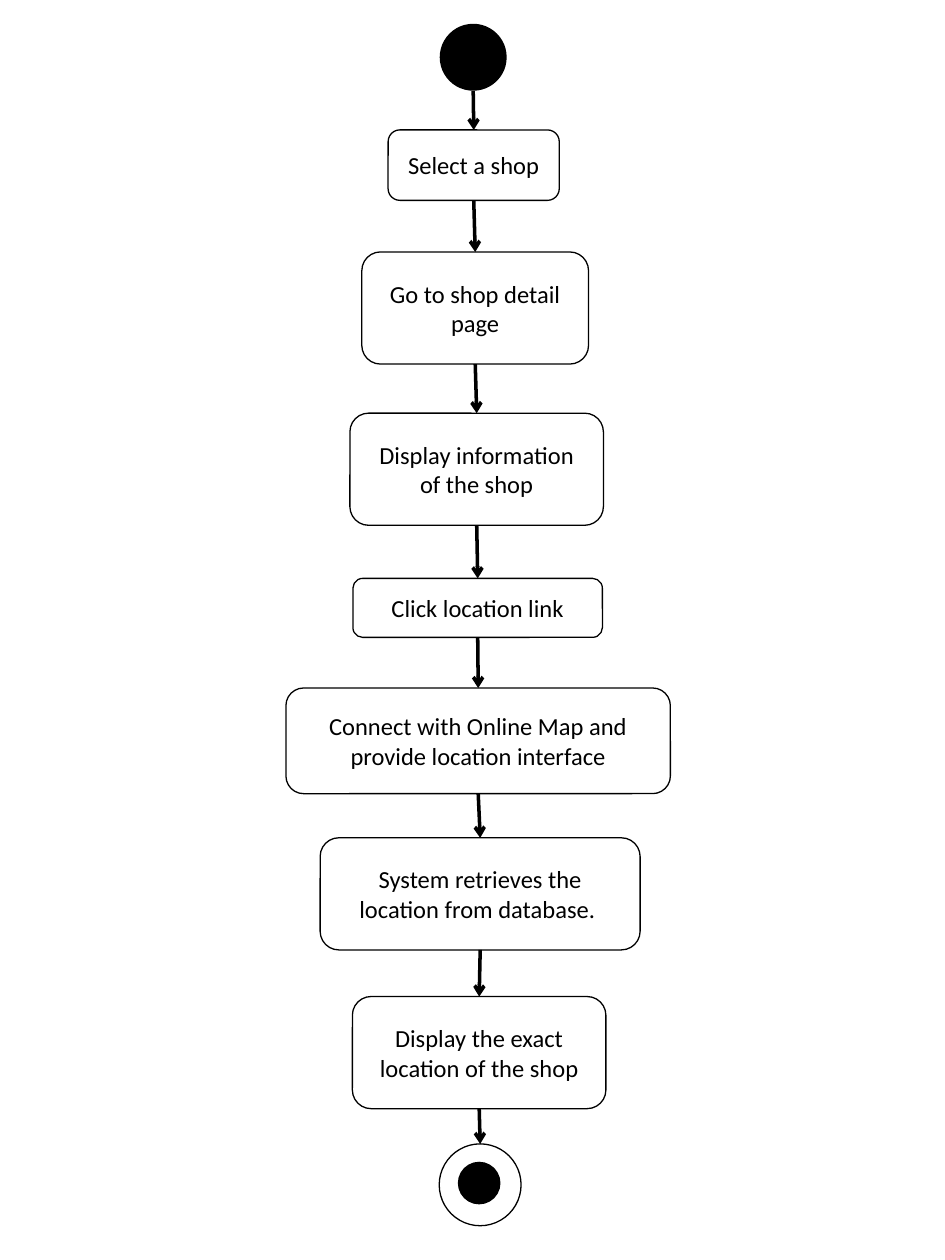
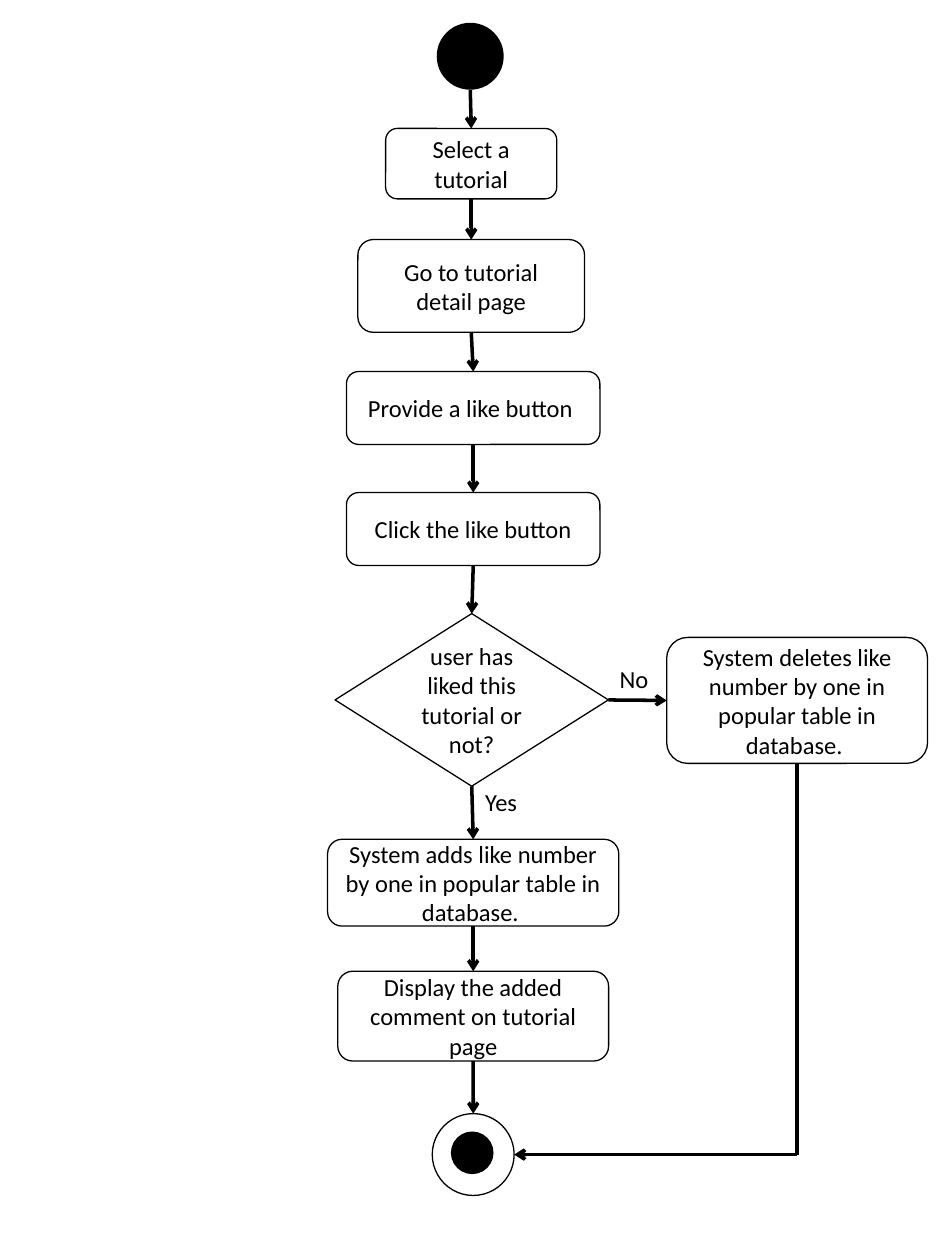
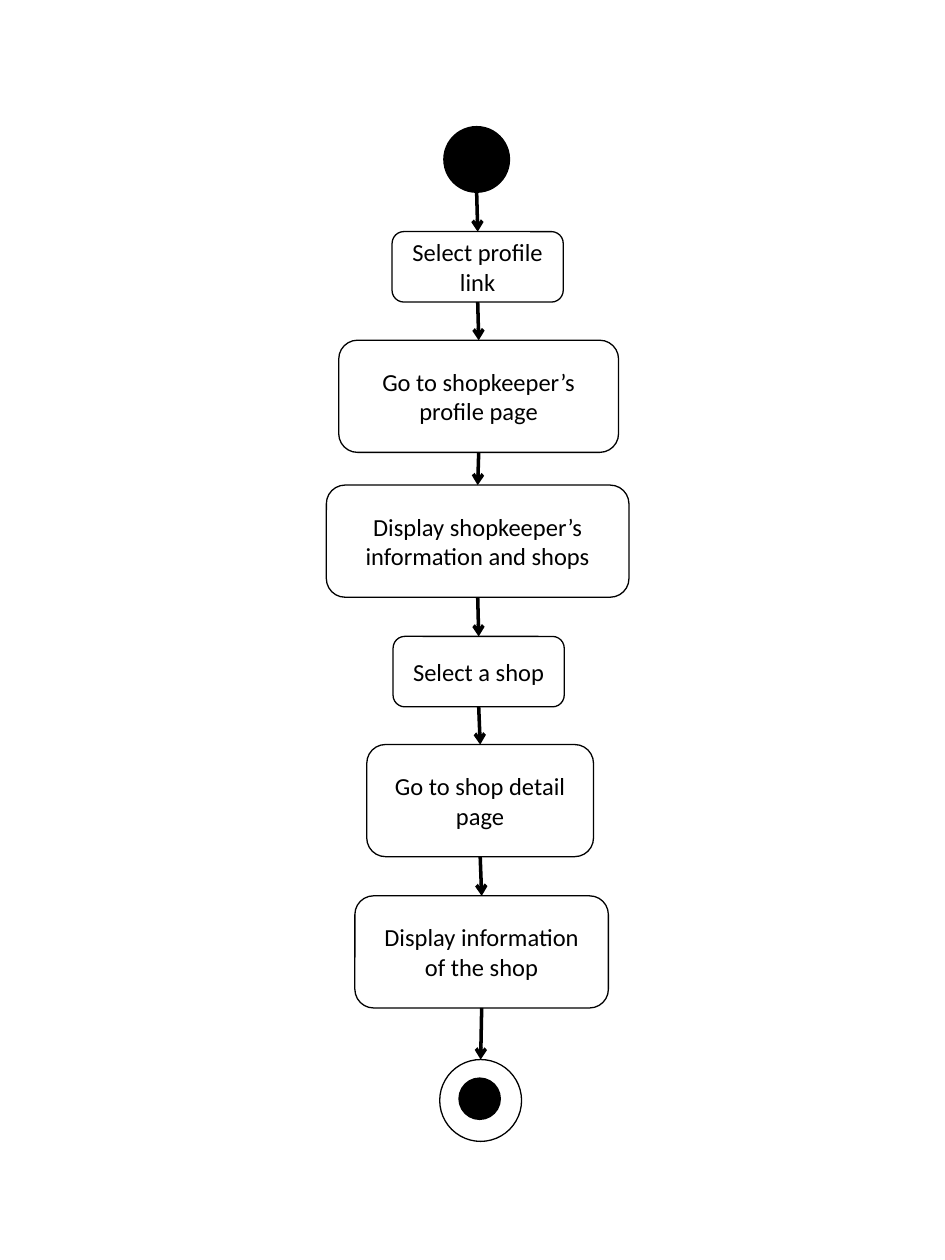
from dataclasses import dataclass
from itertools import pairwise

from lxml.etree import SubElement
from pptx import Presentation
from pptx.dml.color import RGBColor
from pptx.enum.shapes import MSO_CONNECTOR as LINK, MSO_SHAPE as SHAPE
from pptx.enum.text import MSO_ANCHOR as ANCHOR, MSO_AUTO_SIZE as AUTO, PP_ALIGN as ALIGN
from pptx.oxml.ns import qn
from pptx.util import Cm, Pt


@dataclass(frozen=True)
class Theme:
    ink: RGBColor = RGBColor(0, 0, 0)
    paper: RGBColor = RGBColor(255, 255, 255)
    font: str = "Calibri"
    text: Pt = Pt(14)
    outline: Pt = Pt(0.75)
    arrow: Pt = Pt(2)
    start: float = 1.35
    ring: float = 1.65
    dot: float = 0.86


THEME = Theme()
TOP, LEFT, BOTTOM, RIGHT = range(4)
SMALL = (3.45, 1.42)
MEDIUM = (4.57, 2.26)
LARGE = (5.11, 2.26)
BUTTON = (5.11, 1.47)

LOCATION_STEPS = [
    ("Select a shop", 9.55, 2.62, SMALL),
    ("Go to shop detail page", 9.58, 5.08, MEDIUM),
    ("Display information of the shop", 9.61, 8.33, LARGE),
    ("Click location link", 9.63, 11.66, (5.03, 1.19)),
    ("Connect with Online Map and provide location interface", 9.64, 13.87, (7.75, 2.13)),
    ("System retrieves the location from database. ", 9.68, 16.89, (6.45, 2.26)),
    ("Display the exact location of the shop", 9.66, 20.09, LARGE),
]
LIKE_STEPS = [
    ("Select a tutorial", 9.5, 2.59, SMALL),
    ("Go to tutorial detail page", 9.5, 4.83, (4.57, 1.87)),
    ("Provide a like button ", 9.54, 7.49, BUTTON),
    ("Click the like button", 9.54, 9.93, BUTTON),
]
LIKED_STEPS = [
    ("System adds like number by one in popular table in database. ", 9.54, 16.92, (5.87, 1.75)),
    ("Display the added comment on tutorial page", 9.54, 19.58, (5.46, 1.81)),
]
PROFILE_STEPS = [
    ("Select profile link", 9.63, 4.67, SMALL),
    ("Go to shopkeeper’s profile page", 9.65, 6.86, (5.64, 2.26)),
    ("Display shopkeeper’s information and shops", 9.63, 9.78, (6.1, 2.26)),
    ("Select a shop", 9.65, 12.83, SMALL),
    ("Go to shop detail page", 9.68, 15.01, MEDIUM),
    ("Display information of the shop", 9.71, 18.06, LARGE),
]


def apply(obj, values):
    for name, value in values.items():
        setattr(obj, name, value)


def write(tf, text, align, **frame):
    apply(tf, {"word_wrap": True, **frame})
    p = tf.paragraphs[0]
    p.alignment = align
    r = p.add_run()
    r.text = text
    apply(r.font, {"name": THEME.font, "size": THEME.text})
    r.font.color.rgb = THEME.ink


def node(s, kind, center, top, size, fill=THEME.paper, outlined=True):
    w, h = size
    sp = s.shapes.add_shape(kind, Cm(center - w / 2), Cm(top), Cm(w), Cm(h))
    sp.shadow.inherit = False
    sp.fill.solid()
    sp.fill.fore_color.rgb = fill
    if outlined:
        sp.line.color.rgb = THEME.ink
        sp.line.width = THEME.outline
    else:
        sp.line.fill.background()
    return sp


def step(s, text, center, top, size, kind=SHAPE.ROUNDED_RECTANGLE):
    sp = node(s, kind, center, top, size)
    write(sp.text_frame, text, ALIGN.CENTER, vertical_anchor=ANCHOR.MIDDLE)
    return sp


def disc(s, center, top, size):
    return node(s, SHAPE.OVAL, center, top, (size, size), THEME.ink, False)


def start(s, center, top):
    return disc(s, center, top, THEME.start)


def finish(s, center, top):
    ring = node(s, SHAPE.OVAL, center, top, (THEME.ring, THEME.ring))
    disc(s, center - 0.02, top + 0.36, THEME.dot)
    return ring


def label(s, text, left, top, width):
    box = s.shapes.add_textbox(Cm(left), Cm(top), Cm(width), Cm(0.86))
    write(box.text_frame, text, ALIGN.LEFT, auto_size=AUTO.SHAPE_TO_FIT_TEXT)


def site(sp, side):
    middle, center = sp.top + sp.height // 2, sp.left + sp.width // 2
    return {
        TOP: (center, sp.top),
        LEFT: (sp.left, middle),
        BOTTOM: (center, sp.top + sp.height),
        RIGHT: (sp.left + sp.width, middle),
    }[side]


def line(s, begin, end, arrow=True):
    cx = s.shapes.add_connector(LINK.STRAIGHT, *begin, *end)
    cx.line.color.rgb = THEME.ink
    cx.line.width = THEME.arrow
    if arrow:
        SubElement(cx.line._get_or_add_ln(), qn("a:tailEnd"), type="arrow")
    SubElement(cx._element.spPr, qn("a:effectLst"))
    return cx


def link(s, source, target, out=BOTTOM, into=TOP):
    cx = line(s, site(source, out), site(target, into))
    if source.auto_shape_type != SHAPE.OVAL:
        cx.begin_connect(source, out)
    cx.end_connect(target, into)


def chain(s, nodes):
    for source, target in pairwise(nodes):
        link(s, source, target)


def straight_flow(s, first, steps, last):
    chain(s, [start(s, *first), *(step(s, *item) for item in steps), finish(s, *last)])


def like_flow(s):
    before = [step(s, *item) for item in LIKE_STEPS]
    decision = step(s, "user has liked this tutorial or not?", 9.51, 12.37, (5.51, 3.48),
                    SHAPE.FLOWCHART_DECISION)
    after = [step(s, *item) for item in LIKED_STEPS]
    end = finish(s, 9.54, 22.45)
    chain(s, [start(s, 9.48, 0.46), *before, decision, *after, end])

    delete = step(s, "System deletes like number by one in popular table in database. ",
                  16.07, 12.85, (5.26, 2.54))
    link(s, decision, delete, RIGHT, LEFT)
    label(s, "Yes", 9.53, 15.75, 1.65)
    label(s, "No", 12.24, 13.26, 1.19)

    below, target = site(delete, BOTTOM), site(end, RIGHT)
    corner = (below[0], target[1])
    line(s, corner, below, arrow=False)
    line(s, corner, target)


def main():
    prs = Presentation()
    apply(prs, {"slide_width": Cm(19.05), "slide_height": Cm(25.4)})
    blank = prs.slide_layouts[6]
    location, like, profile = (prs.slides.add_slide(blank) for _ in range(3))
    straight_flow(location, (9.54, 0.48), LOCATION_STEPS, (9.68, 23.06))
    like_flow(like)
    straight_flow(profile, (9.61, 2.54), PROFILE_STEPS, (9.69, 21.36))
    prs.save("out.pptx")


if __name__ == "__main__":
    main()
